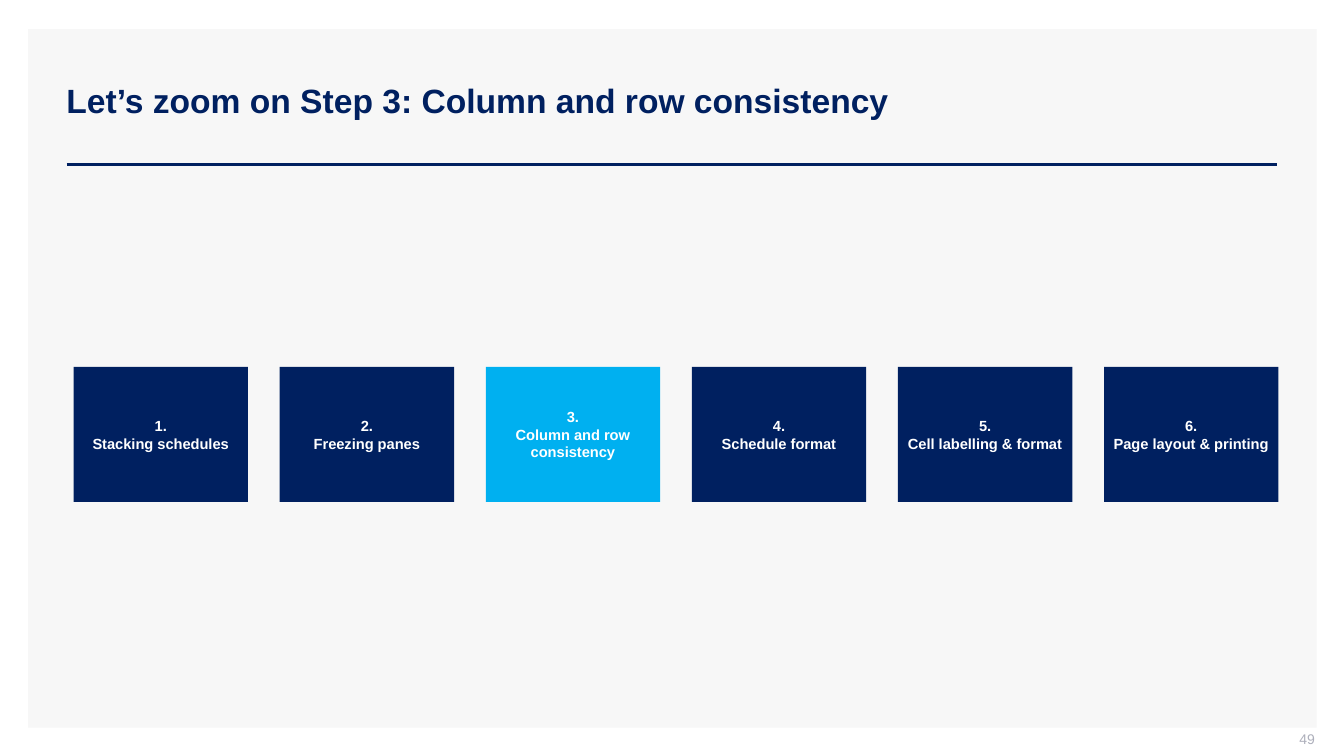
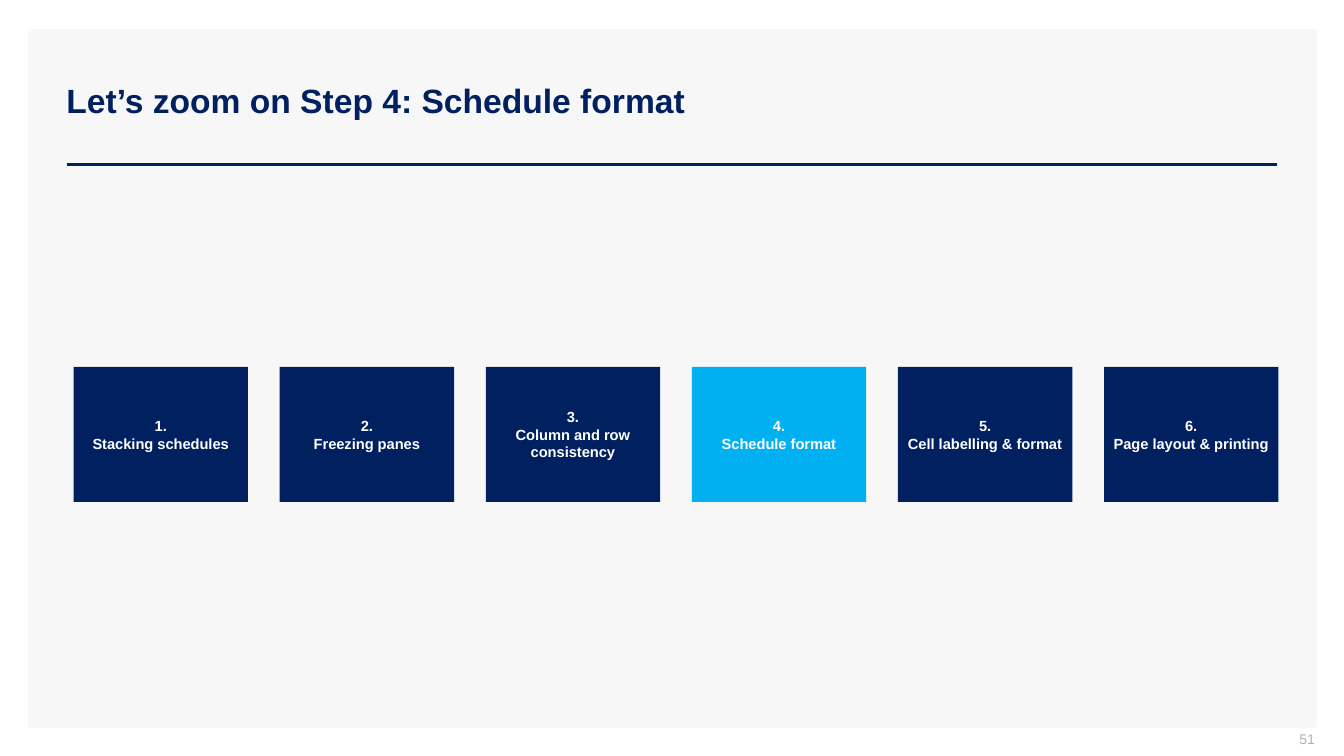
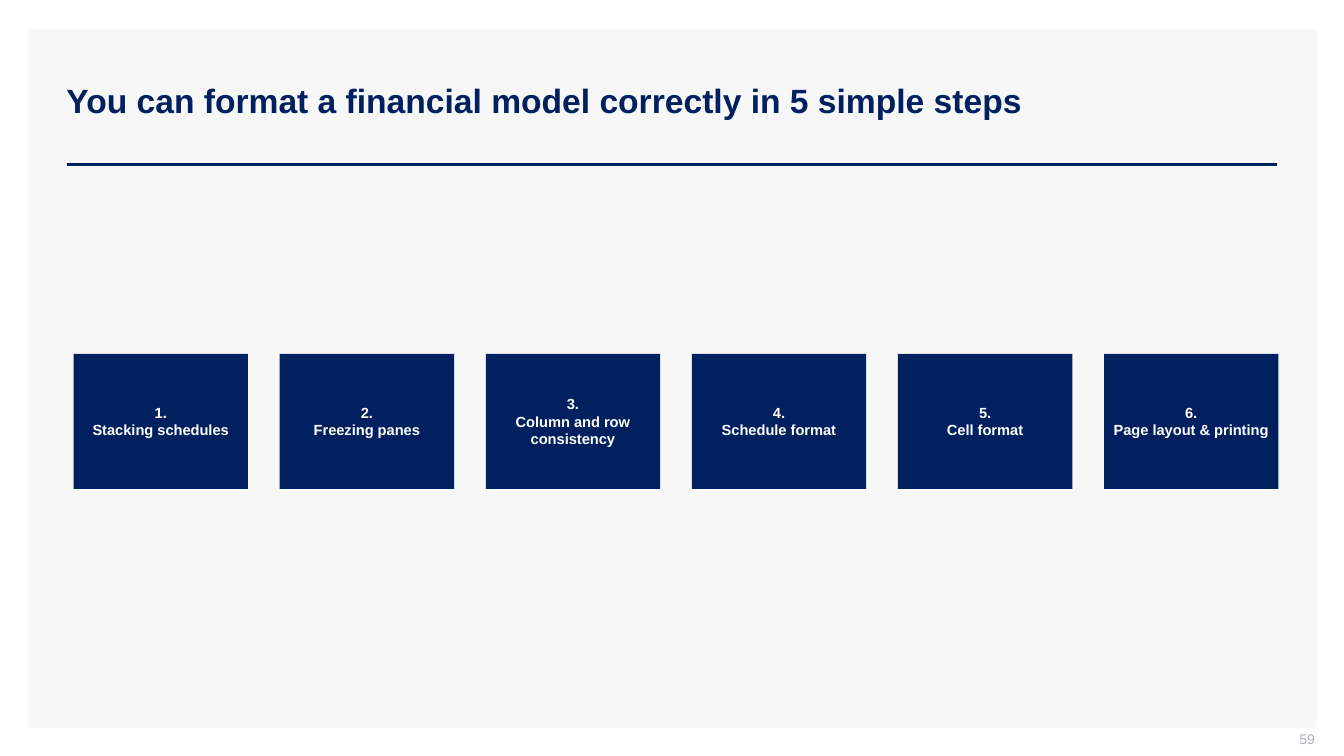
import pptx
import pptx.util
import pptx.dml.color
import pptx.enum.shapes
import pptx.enum.text
import pptx.oxml

Inches = pptx.util.Inches
ALIGN = pptx.enum.text.PP_ALIGN

COLOURS = {
    "panel": "F7F7F7",
    "navy": "002060",
    "highlight": "00B0F0",
    "white": "FFFFFF",
    "page": "ADAFBB",
}
FORMATS = {
    "title": {"size": 24, "bold": True, "colour": "navy", "align": ALIGN.LEFT,
              "insets": (0.1, 0.05, 0.1, 0.05)},
    "page": {"size": 10, "bold": False, "colour": "page", "align": ALIGN.RIGHT,
             "insets": (0.1, 0, 0, 0.05)},
    "step": {"size": 10.5, "bold": True, "colour": "white", "align": ALIGN.CENTER,
             "insets": (0.02, 0.02, 0.02, 0.02)},
}

STEPS = [
    "Stacking schedules",
    "Freezing panes",
    "Column and row consistency",
    "Schedule format",
    "Cell labelling & format",
    "Page layout & printing",
]
SUMMARY_STEPS = STEPS[:4] + ["Cell format"] + STEPS[5:]

SLIDES = [
    {"title": "Let’s zoom on Step 3: Column and row consistency",
     "page": "49", "steps": STEPS, "current": 3, "top": 3.64},
    {"title": "Let’s zoom on Step 4: Schedule format",
     "page": "51", "steps": STEPS, "current": 4, "top": 3.64},
    {"title": "You can format a financial model correctly in 5 simple steps",
     "page": "59", "steps": SUMMARY_STEPS, "current": None, "top": 3.51},
]

ROW_LEFT, ROW_RIGHT = 0.73, 12.68
STEP_WIDTH, STEP_HEIGHT = 1.73, 1.34


def rgb(name):
    return pptx.dml.color.RGBColor.from_string(COLOURS[name])


def write(holder, lines, style):
    look = FORMATS[style]
    frame = holder.text_frame
    frame.word_wrap = True
    frame.vertical_anchor = pptx.enum.text.MSO_ANCHOR.MIDDLE
    for side, inset in zip(("left", "top", "right", "bottom"), look["insets"]):
        setattr(frame, f"margin_{side}", Inches(inset))
    frame.text = "\n".join(lines)
    font_values = {"name": "Arial", "size": pptx.util.Pt(look["size"]), "bold": look["bold"]}
    for paragraph in frame.paragraphs:
        paragraph.alignment = look["align"]
        for attribute, value in font_values.items():
            setattr(paragraph.font, attribute, value)
        paragraph.font.color.rgb = rgb(look["colour"])


def add_text(slide, box, text, style):
    write(slide.shapes.add_textbox(*map(Inches, box)), [text], style)


def add_block(slide, box, colour):
    block = slide.shapes.add_shape(
        pptx.enum.shapes.MSO_SHAPE.RECTANGLE, *map(Inches, box))
    block.shadow.inherit = False
    block.fill.solid()
    block.fill.fore_color.rgb = rgb(colour)
    block.line.fill.background()
    return block


def add_frame(slide, title, page):
    add_block(slide, (0.28, 0.29, 12.78, 6.93), "panel")
    rule = slide.shapes.add_connector(
        pptx.enum.shapes.MSO_CONNECTOR.STRAIGHT, *map(Inches, (0.66, 1.63, 12.67, 1.63)))
    rule.line.color.rgb = rgb("navy")
    rule.line.width = pptx.util.Pt(2)
    rule._element.spPr.append(pptx.oxml.parse_xml(
        '<a:effectLst xmlns:a="http://schemas.openxmlformats.org/drawingml/2006/main"/>'))
    add_text(slide, (0.56, 0.4, 12.11, 1.19), title, "title")
    add_text(slide, (10.04, 7.25, 3, 0.21), page, "page")


def add_steps(slide, steps, current, top):
    pitch = (ROW_RIGHT - ROW_LEFT - STEP_WIDTH) / (len(steps) - 1)
    for number, step in enumerate(steps, 1):
        left = ROW_LEFT + (number - 1) * pitch
        colour = "highlight" if number == current else "navy"
        block = add_block(slide, (left, top, STEP_WIDTH, STEP_HEIGHT), colour)
        write(block, [f"{number}.", step], "step")


def main():
    deck = pptx.Presentation()
    deck.slide_width, deck.slide_height = Inches(13.33), Inches(7.5)
    for content in SLIDES:
        slide = deck.slides.add_slide(deck.slide_layouts[6])
        add_frame(slide, content["title"], content["page"])
        add_steps(slide, content["steps"], content["current"], content["top"])
    deck.save("out.pptx")


if __name__ == "__main__":
    main()
